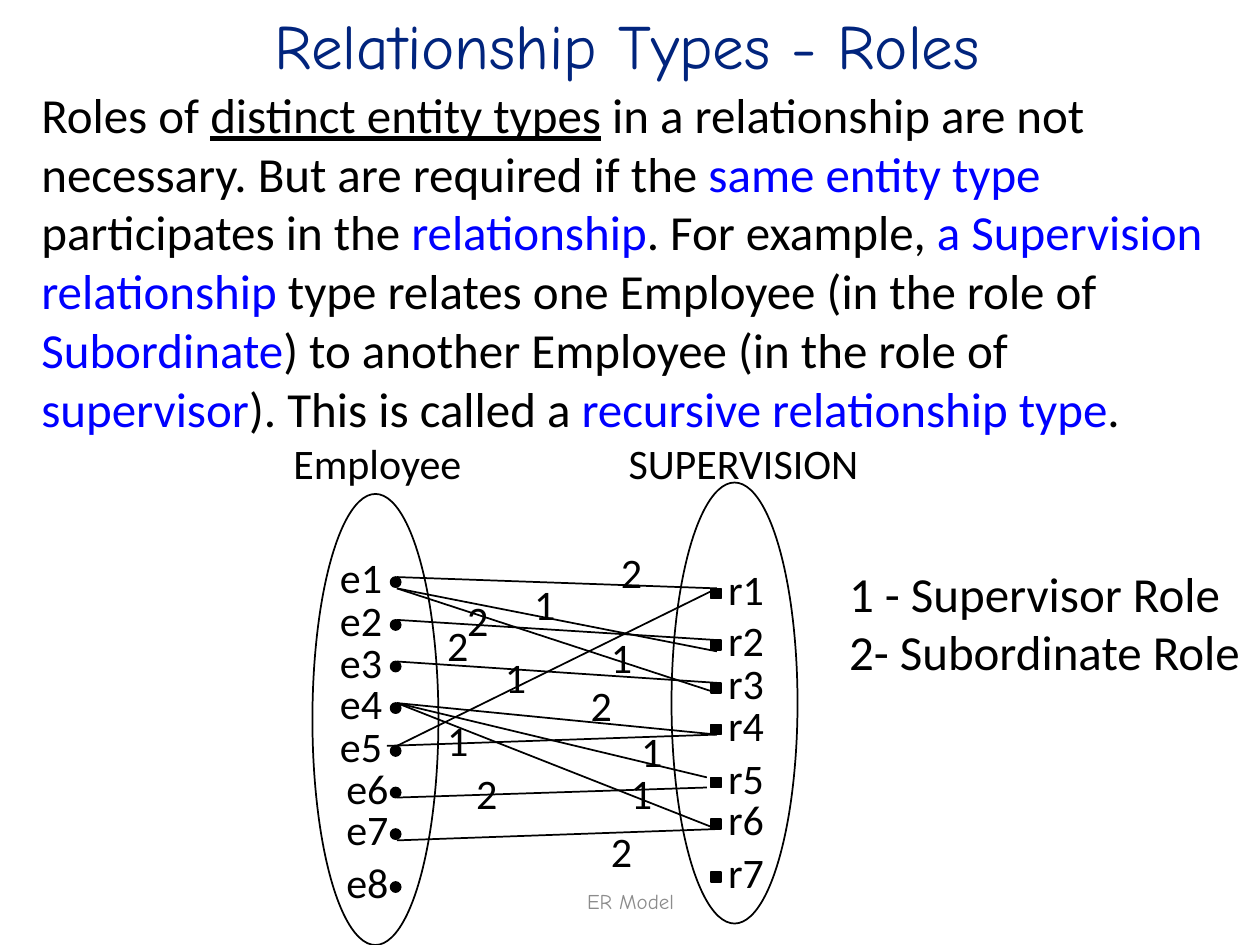
from pptx import Presentation
from pptx.dml.color import RGBColor
from pptx.enum.shapes import MSO_CONNECTOR, MSO_SHAPE
from pptx.enum.text import MSO_ANCHOR, MSO_AUTO_SIZE, PP_ALIGN
from pptx.oxml.ns import qn
from pptx.util import Inches, Pt
from lxml import etree

OVAL, RECT = MSO_SHAPE.OVAL, MSO_SHAPE.RECTANGLE
STRAIGHT = MSO_CONNECTOR.STRAIGHT
MIDDLE, TOP = MSO_ANCHOR.MIDDLE, MSO_ANCHOR.TOP
FIT = MSO_AUTO_SIZE.SHAPE_TO_FIT_TEXT
LEFT, CENTER = PP_ALIGN.LEFT, PP_ALIGN.CENTER

COLORS = {"black": "000000", "blue": "0000FF", "navy": "01247D", "gray": "8C8C8C"}
BODY_FONT, TITLE_FONT = "Calibri", "Comic Neue"


def rgb(name):
    return RGBColor.from_string(COLORS[name])


class SlideBuilder:
    def __init__(self, slide):
        self.slide = slide

    def text(self, x, y, w, h, lines, size=24, font=BODY_FONT, color="black",
             align=LEFT, anchor=TOP, wrap=False):
        tf = self.slide.shapes.add_textbox(Inches(x), Inches(y), Inches(w), Inches(h)).text_frame
        tf.word_wrap = wrap
        tf.auto_size = FIT
        tf.vertical_anchor = anchor
        for i, runs in enumerate(lines):
            p = tf.paragraphs[0] if i == 0 else tf.add_paragraph()
            p.alignment = align
            p.font.size = Pt(size)
            p.font.name = font
            p.font.color.rgb = rgb(color)
            for content, style in runs:
                r = p.add_run()
                r.text = content
                if style == "underline":
                    r.font.underline = True
                elif style:
                    r.font.color.rgb = rgb(style)

    def label(self, x, y, w, content):
        self.text(x, y, w, 0.51, [[(content, None)]])

    def shape(self, kind, x, y, w, h, fill=None):
        sp = self.slide.shapes.add_shape(kind, Inches(x), Inches(y), Inches(w), Inches(h))
        sp.shadow.inherit = False
        if fill:
            sp.fill.solid()
            sp.fill.fore_color.rgb = rgb(fill)
        else:
            sp.fill.background()
        sp.line.color.rgb = rgb("black")
        sp.line.width = Pt(1)

    def line(self, x1, y1, x2, y2):
        cxn = self.slide.shapes.add_connector(
            STRAIGHT, Inches(x1), Inches(y1), Inches(x2), Inches(y2))
        cxn.line.color.rgb = rgb("black")
        cxn.line.width = Pt(1)
        etree.SubElement(cxn._element.spPr, qn("a:effectLst"))


def main():
    prs = Presentation()
    prs.slide_width, prs.slide_height = Inches(10), Inches(7.5)
    s = SlideBuilder(prs.slides.add_slide(prs.slide_layouts[6]))

    s.text(3.42, 6.95, 3.17, 0.4, [[("ER Model", None)]], 12, TITLE_FONT, "gray",
           CENTER, MIDDLE, True)
    s.text(2.08, 0, 6.54, 0.7, [[("Relationship Types - Roles", None)]], 36, TITLE_FONT,
           "navy", wrap=True)
    s.text(0.23, 0.62, 9.54, 2.93, [[
        ("Roles of ", None),
        ("distinct entity types", "underline"),
        (" in a relationship are not necessary. But are required if the ", None),
        ("same entity type", "blue"),
        (" participates in the ", None),
        ("relationship", "blue"),
        (". For example, ", None),
        ("a Supervision relationship", "blue"),
        (" type relates one Employee (in the role of ", None),
        ("Subordinate", "blue"),
        (") to another Employee (in the role of ", None),
        ("supervisor", "blue"),
        ("). This is called a ", None),
        ("recursive relationship type", "blue"),
        (".", None),
    ]], 28, wrap=True)

    s.shape(OVAL, 2.48, 3.92, 1, 3.58)
    s.shape(OVAL, 5.33, 3.83, 1, 3.5)
    s.label(2.23, 3.42, 1.55, "Employee")
    s.label(4.89, 3.42, 2.04, "SUPERVISION")

    employee_tops = [4.58, 4.92, 5.25, 5.58, 5.92, 6.25, 6.58, 7]
    for i, y in enumerate(employee_tops, 1):
        s.label(2.6 if i <= 5 else 2.65, y - 0.25, 0.54, f"e{i}")
        s.shape(OVAL, 3.1, y, 0.08, 0.08, "black")

    relation_tops = [4.67, 5.08, 5.42, 5.75, 6.17, 6.5, 6.92]
    for i, y in enumerate(relation_tops, 1):
        s.label(5.68, y - 0.25, 0.49, f"r{i}")
        s.shape(RECT, 5.64, y, 0.08, 0.08, "black")

    links = [
        (3.15, 4.58, 5.69, 4.67), (3.15, 4.67, 5.69, 5.17), (3.15, 4.67, 5.69, 5.5),
        (3.15, 4.92, 5.69, 5.08), (3.15, 5.25, 5.69, 5.42), (3.15, 5.58, 5.69, 5.83),
        (3.15, 5.58, 5.61, 6.17), (3.15, 5.58, 5.69, 6.58), (3.07, 5.92, 5.69, 5.83),
        (3.15, 5.92, 5.69, 4.67), (3.15, 6.33, 5.61, 6.25), (3.15, 6.67, 5.69, 6.58),
    ]
    for link in links:
        s.line(*link)

    role_marks = {
        "1": [(4.14, 4.54), (4.75, 4.96), (4.99, 5.71), (4.91, 6.04), (3.45, 5.62),
              (3.91, 5.12)],
        "2": [(4.83, 4.29), (3.61, 4.67), (3.45, 4.87), (4.59, 5.34), (3.68, 6.04),
              (4.75, 6.5)],
    }
    for role, places in role_marks.items():
        for x, y in places:
            s.label(x, y, 0.37, role)

    s.text(6.64, 4.42, 3.34, 1.04,
           [[("1 - Supervisor Role", None)], [("2- Subordinate Role", None)]], 28)

    prs.save("out.pptx")


if __name__ == "__main__":
    main()
